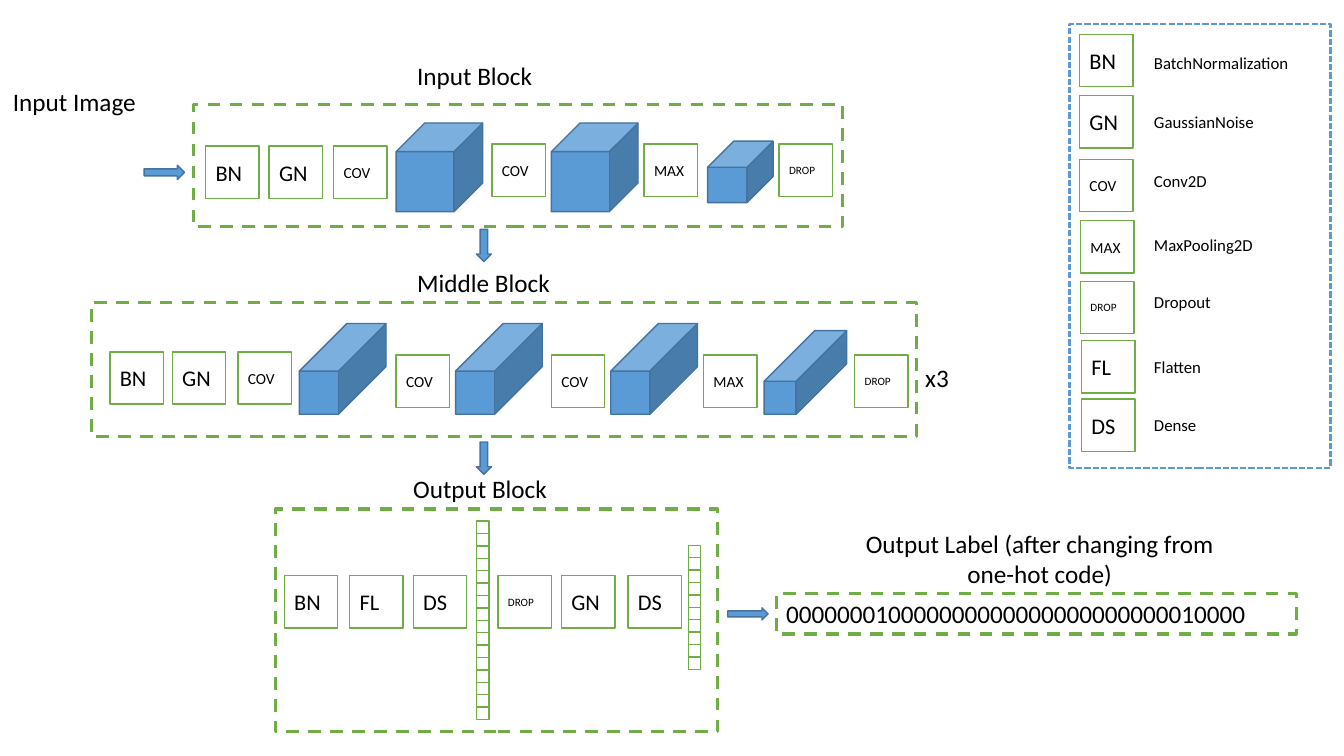
from pptx import Presentation
from pptx.dml.color import RGBColor
from pptx.enum.dml import MSO_LINE_DASH_STYLE as DASH
from pptx.enum.shapes import MSO_SHAPE as SHAPE
from pptx.enum.text import MSO_ANCHOR as ANCHOR, MSO_AUTO_SIZE as AUTO, PP_ALIGN as ALIGN
from pptx.util import Inches, Pt

WHITE = RGBColor(0xFF, 0xFF, 0xFF)
BLACK = RGBColor(0x00, 0x00, 0x00)
GREEN = RGBColor(0x70, 0xAD, 0x47)
BLUE = RGBColor(0x5B, 0x9B, 0xD5)
NAVY = RGBColor(0x43, 0x73, 0x9E)

FONT = "Calibri"
UNIT = Inches(0.1)  # one column or row of the layout grid
TILE_W, TILE_H = 5.3, 5.2
CELL = 1.23
CODE_SIZES = {"COV": 11, "MAX": 11, "DROP": 8}  # other codes use 16

# Layers of each block: (column, row, code)
INPUT_TILES = [(20.4, 14.5, "BN"), (26.7, 14.5, "GN"), (33.1, 14.5, "COV"),
               (48.8, 14.3, "COV"), (63.9, 14.3, "MAX"), (77.3, 14.3, "DROP")]
MIDDLE_TILES = [(10.9, 34.9, "BN"), (17.1, 34.9, "GN"), (23.6, 34.9, "COV"),
                (39.3, 35.2, "COV"), (54.7, 35.2, "COV"), (69.8, 35.2, "MAX"),
                (84.8, 35.2, "DROP")]
OUTPUT_TILES = [(28.2, 57.1, "BN"), (34.7, 57.1, "FL"), (41, 57.1, "DS"),
                (49.4, 57.1, "DROP"), (55.7, 57.1, "GN"), (62.3, 57.1, "DS")]

# Feature maps: (column, row, width, height, depth)
CUBES = [(39.3, 12.2, 8.6, 8.8, 0.331), (54.7, 12.2, 8.6, 8.8, 0.331),
         (70.2, 14, 6.5, 6.1, 0.425),
         (29.7, 32.1, 8.6, 9, 0.549), (45.2, 32.1, 8.6, 9, 0.549),
         (60.6, 32.1, 8.6, 9, 0.549), (75.8, 32.8, 8.2, 8.3, 0.613)]

# Key to the codes: (code, meaning, tile column, tile row, meaning row)
LEGEND = [("BN", "BatchNormalization", 107.1, 3.4, 4.7),
          ("GN", "GaussianNoise", 107.1, 9.5, 10.6),
          ("COV", "Conv2D", 107.1, 15.8, 16.4),
          ("MAX", "MaxPooling2D", 107.2, 21.9, 22.8),
          ("DROP", "Dropout", 107.2, 27.9, 28.5),
          ("FL", "Flatten", 107.3, 33.8, 34.9),
          ("DS", "Dense", 107.3, 39.6, 40.7)]


def grid(*values):
    return [round(v * UNIT) for v in values]


def write(tf, text, size, align=ALIGN.LEFT):
    tf.word_wrap = True
    tf.text = text
    p = tf.paragraphs[0]
    p.alignment = align
    font = p.runs[0].font
    font.name, font.size, font.color.rgb = FONT, Pt(size), BLACK


def add_label(s, x, y, w, h, text, size=18, align=ALIGN.LEFT):
    tf = s.shapes.add_textbox(*grid(x, y, w, h)).text_frame
    write(tf, text, size, align)
    tf.auto_size = AUTO.SHAPE_TO_FIT_TEXT


def add_box(s, kind, x, y, w, h, fill, line, weight=1, dash=None):
    sp = s.shapes.add_shape(kind, *grid(x, y, w, h))
    sp.shadow.inherit = False
    if fill is None:
        sp.fill.background()
    else:
        sp.fill.solid()
        sp.fill.fore_color.rgb = fill
    sp.line.color.rgb = line
    sp.line.width = Pt(weight)
    if dash is not None:
        sp.line.dash_style = dash
    return sp


def add_tile(s, x, y, code):
    sp = add_box(s, SHAPE.RECTANGLE, x, y, TILE_W, TILE_H, WHITE, GREEN)
    tf = sp.text_frame
    write(tf, code, CODE_SIZES.get(code, 16))
    tf.vertical_anchor = ANCHOR.MIDDLE
    tf.margin_right = 0


def add_frame(s, x, y, w, h):
    add_box(s, SHAPE.RECTANGLE, x, y, w, h, None, GREEN, 2.25, DASH.DASH)


def add_cube(s, x, y, w, h, depth):
    add_box(s, SHAPE.CUBE, x, y, w, h, BLUE, NAVY).adjustments[0] = depth


def add_arrow(s, x, y, w, h, rotation=0):
    add_box(s, SHAPE.RIGHT_ARROW, x, y, w, h, BLUE, NAVY).rotation = rotation


def add_vector(s, x, y, count):
    for i in range(count):
        add_box(s, SHAPE.RECTANGLE, x, y + i * CELL, CELL, CELL, WHITE, GREEN)


def add_legend(s):
    add_box(s, SHAPE.RECTANGLE, 106.1, 2.4, 25.9, 44, WHITE, BLUE, 1.5, DASH.SQUARE_DOT)
    for code, meaning, x, y, meaning_y in LEGEND:
        add_tile(s, x, y, code)
        add_label(s, 113.5, meaning_y, 17.7, 3, meaning, 12)


def main():
    prs = Presentation()
    prs.slide_width, prs.slide_height = grid(133.33, 75)
    s = prs.slides.add_slide(prs.slide_layouts[6])

    # Block frames and their contents
    add_frame(s, 19.2, 10.4, 64.4, 12.1)
    add_frame(s, 9.1, 30, 81.8, 13.3)
    add_frame(s, 27.3, 50.5, 43.9, 22.1)
    for tile in INPUT_TILES + MIDDLE_TILES + OUTPUT_TILES:
        add_tile(s, *tile)
    for cube in CUBES:
        add_cube(s, *cube)
    add_vector(s, 47.3, 51.7, 16)
    add_vector(s, 68.3, 54.1, 10)

    # Flow between the blocks
    add_arrow(s, 14.3, 16.4, 4, 1.4)
    for y in (23.6, 44.7):
        add_arrow(s, 46.4, y, 3.2, 1.5, 90)
    add_arrow(s, 72.2, 60.3, 4, 1.2)

    # Titles
    add_label(s, 0.3, 8.1, 16.5, 4, "Input Image")
    add_label(s, 40.4, 5.5, 15.5, 4, "Input Block")
    add_label(s, 40.4, 26, 16.8, 4, "Middle Block")
    add_label(s, 90.8, 35.5, 6.2, 4, "x3")
    add_label(s, 40, 46.5, 17.2, 4, "Output Block")

    # Output label
    add_label(s, 83, 51.9, 40.3, 7.1,
              "Output Label (after changing from one-hot code)", align=ALIGN.CENTER)
    add_label(s, 77, 58.9, 52.4, 4, "000000010000000000000000000000010000")
    add_frame(s, 77, 58.9, 51.6, 4)

    add_legend(s)
    prs.save("out.pptx")


main()
